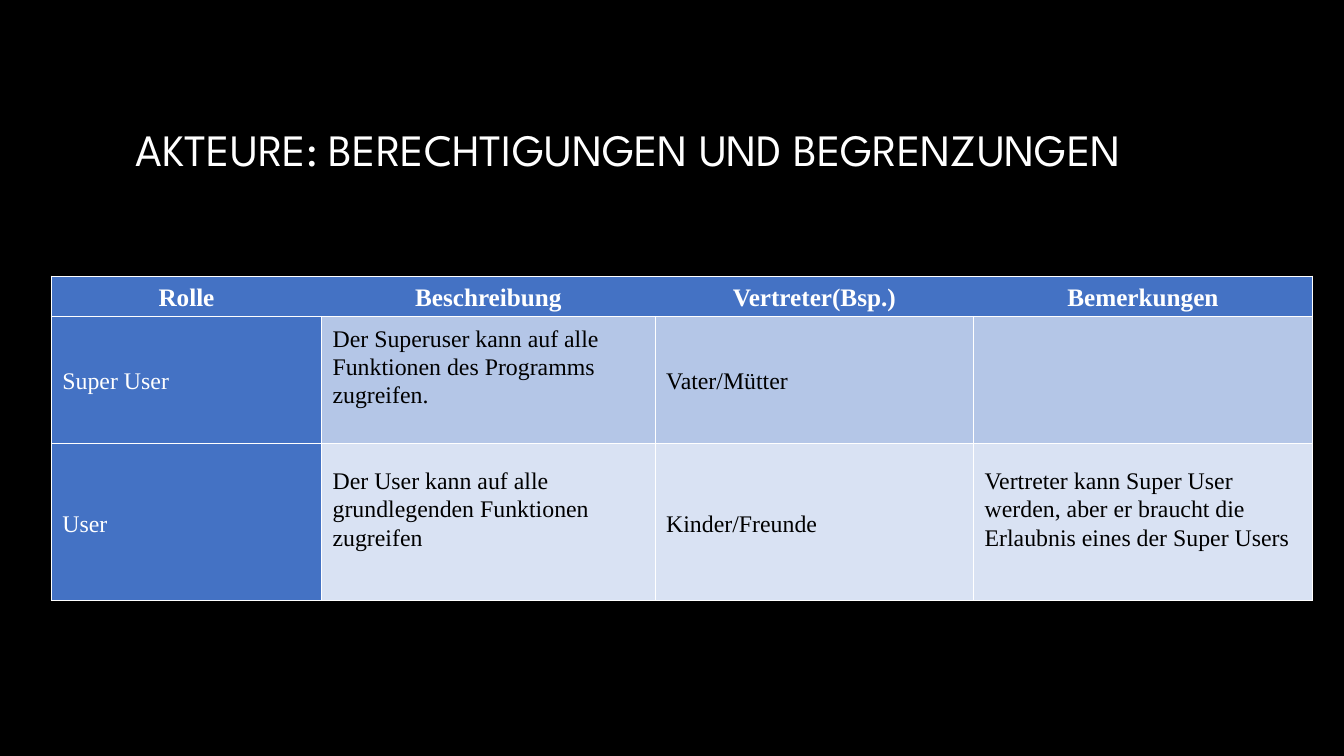
from lxml.etree import SubElement
from pptx import Presentation
from pptx.dml.color import RGBColor
from pptx.enum.text import MSO_ANCHOR as Anchor, PP_ALIGN as Align
from pptx.oxml.ns import qn
from pptx.util import Pt

COLORS = {
    "background": "000000",
    "light": "FFFFFF",
    "dark": "000000",
    "accent": "4472C4",
    "band_1": "B4C6E7",
    "band_2": "D9E2F3",
}
TITLE_FONT = "League Spartan"
TABLE_FONT = "Times New Roman"

COLUMN_WIDTHS = [193, 238.3, 227.5, 241.9]
ROW_HEIGHTS = [28.8, 90.7, 112.3]
ROLES = [
    ["Rolle", "Beschreibung", "Vertreter(Bsp.)", "Bemerkungen"],
    ["Super User",
     "Der Superuser kann auf alle Funktionen des Programms zugreifen.",
     "Vater/Mütter", ""],
    ["User",
     "Der User kann auf alle grundlegenden Funktionen zugreifen",
     "Kinder/Freunde",
     "Vertreter kann Super User werden, aber er braucht die Erlaubnis "
     "eines der Super Users"],
]
RAISED_COLUMNS = (1, 3)  # long texts sit one half line above the middle


def color(name):
    return RGBColor.from_string(COLORS[name])


class SlideBuilder:
    def __init__(self, deck):
        self.page = deck.slides.add_slide(deck.slide_layouts[6])
        fill = self.page.background.fill
        fill.solid()
        fill.fore_color.rgb = color("background")

    def format_runs(self, para, font, size, ink, bold=False):
        for span in para.runs:
            span.font.name = font
            span.font.size = Pt(size)
            span.font.bold = bold
            span.font.color.rgb = color(ink)

    def title(self, text, left, top, width, height):
        box = self.page.shapes.add_textbox(
            Pt(left), Pt(top), Pt(width), Pt(height))
        frame = box.text_frame
        frame.word_wrap = True
        frame.vertical_anchor = Anchor.MIDDLE
        frame.text = text
        self.format_runs(frame.paragraphs[0], TITLE_FONT, 32, "light")

    def table(self, rows, left, top, widths, heights):
        table = self.page.shapes.add_table(
            len(rows), len(widths), Pt(left), Pt(top),
            Pt(sum(widths)), Pt(sum(heights))).table
        table.horz_banding = False
        for column, width in zip(table.columns, widths):
            column.width = Pt(width)
        for row, height in zip(table.rows, heights):
            row.height = Pt(height)
        last = len(widths) - 1
        for i, texts in enumerate(rows):
            for j, text in enumerate(texts):
                header = i == 0
                cell = table.cell(i, j)
                self.cell_text(cell, text, header, j)
                # Borders must come before the fill in the cell properties.
                self.cell_borders(cell, left=not header or j == 0,
                                  right=not header or j == last)
                cell.fill.solid()
                cell.fill.fore_color.rgb = color(
                    "accent" if header or j == 0 else f"band_{i}")

    def cell_text(self, cell, text, header, column):
        raised = not header and column in RAISED_COLUMNS
        cell.vertical_anchor = Anchor.MIDDLE
        cell.margin_left = cell.margin_right = Pt(7.9)
        cell.margin_top = Pt(1.4)
        cell.margin_bottom = Pt(20.5 if raised else 0)
        cell.text_frame.text = text
        para = cell.text_frame.paragraphs[0]
        para.line_spacing = 1.07
        para.alignment = Align.CENTER if header else Align.LEFT
        ink = "light" if header or column == 0 else "dark"
        self.format_runs(para, TABLE_FONT, 18 if header else 17, ink, header)

    def cell_borders(self, cell, left, right):
        """Draw white lines above and below, and at the chosen sides."""
        properties = cell._tc.get_or_add_tcPr()
        sides = {"a:lnL": left, "a:lnR": right, "a:lnT": True, "a:lnB": True}
        for tag, visible in sides.items():
            line = SubElement(properties, qn(tag), w=str(Pt(1)))
            if visible:
                fill = SubElement(line, qn("a:solidFill"))
                SubElement(fill, qn("a:srgbClr"), val=COLORS["light"])
            else:
                SubElement(line, qn("a:noFill"))


def main():
    deck = Presentation()
    deck.slide_width, deck.slide_height = Pt(960), Pt(540)
    builder = SlideBuilder(deck)
    builder.title("AKTEURE: BERECHTIGUNGEN UND BEGRENZUNGEN",
                  90, 48.2, 780, 116)
    builder.table(ROLES, 36.7, 197.3, COLUMN_WIDTHS, ROW_HEIGHTS)
    deck.save("out.pptx")


if __name__ == "__main__":
    main()
